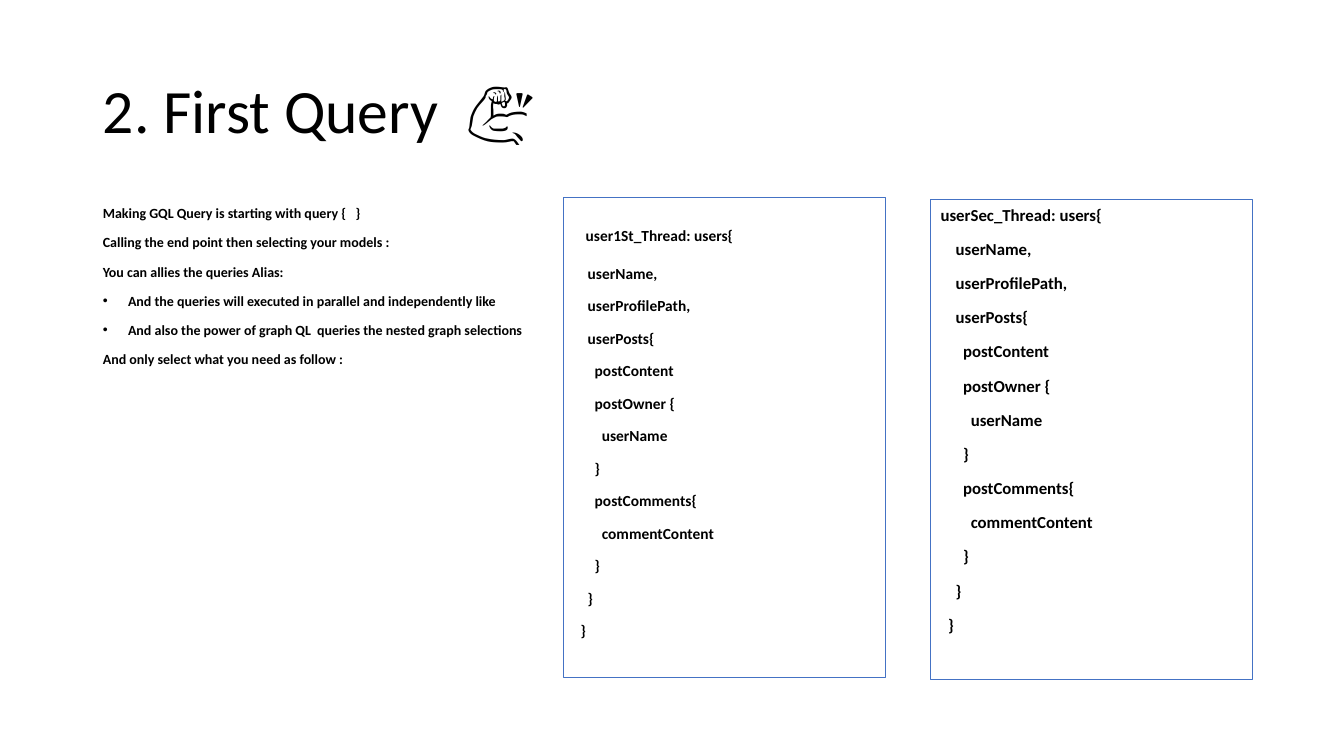
from lxml import etree
from pptx import Presentation
from pptx.dml.color import RGBColor
from pptx.enum import shapes, text
from pptx.oxml import ns
from pptx.util import Inches, Pt

COLORS = {"ink": "000000", "paper": "FFFFFF", "border": "4472C4"}
FONT = "Calibri"

NOTES = [  # wording, bulleted
    ("Making GQL Query is starting with query {   }", False),
    ("Calling the end point then selecting your models :", False),
    ("You can allies the queries Alias:", False),
    ("And the queries will executed in parallel and independently like", True),
    ("And also the power of graph QL  queries the nested graph selections", True),
    ("And only select what you need as follow :", False),
]

QUERY_LINES = [  # indent level, code
    (2, "userName,"),
    (2, "userProfilePath,"),
    (2, "userPosts{"),
    (3, "postContent"),
    (3, "postOwner {"),
    (4, "userName"),
    (3, "}"),
    (3, "postComments{"),
    (4, "commentContent"),
    (3, "}"),
    (2, "}"),
    (1, "}"),
]


def color(name):
    return RGBColor.from_string(COLORS[name])


def add_span(para, wording, size, bold=False):
    span = para.add_run()
    span.text = wording
    span.font.name = FONT
    span.font.size = Pt(size)
    span.font.bold = bold
    span.font.color.rgb = color("ink")


def next_para(frame, index):
    para = frame.paragraphs[0] if index == 0 else frame.add_paragraph()
    para.alignment = text.PP_ALIGN.LEFT
    return para


def set_indent(para, left, hanging=0):
    props = para._p.get_or_add_pPr()
    props.set("marL", str(Inches(left)))
    props.set("indent", str(-Inches(hanging)))
    return props


def set_bullet(para, bulleted):
    props = set_indent(para, 0.25 if bulleted else 0, 0.25 if bulleted else 0)
    if bulleted:
        etree.SubElement(props, ns.qn("a:buFont")).set("typeface", "Arial")
        etree.SubElement(props, ns.qn("a:buChar")).set("char", "•")
    else:
        etree.SubElement(props, ns.qn("a:buNone"))


def place(shape, left, top, width, height):
    shape.left, shape.top = Inches(left), Inches(top)
    shape.width, shape.height = Inches(width), Inches(height)


def prepare_frame(shape, anchor):
    frame = shape.text_frame
    frame.word_wrap = True
    frame.auto_size = text.MSO_AUTO_SIZE.NONE
    frame.vertical_anchor = anchor
    return frame


def fill_title(page, wording):
    title = page.shapes.title
    place(title, 0.92, 0.4, 11.5, 1.45)
    para = next_para(prepare_frame(title, text.MSO_ANCHOR.MIDDLE), 0)
    para.line_spacing = 0.9
    add_span(para, wording, 44)


def fill_notes(page, notes):
    body = page.placeholders[1]
    place(body, 0.92, 2, 11.5, 4.76)
    frame = prepare_frame(body, text.MSO_ANCHOR.TOP)
    for index, (wording, bulleted) in enumerate(notes):
        para = next_para(frame, index)
        para.line_spacing = 0.9
        para.space_before = Pt(10)
        set_bullet(para, bulleted)
        add_span(para, wording, 10, bold=True)


def add_query_box(page, left, top, heading, size, step, heading_indent=0):
    box = page.shapes.add_shape(
        shapes.MSO_SHAPE.RECTANGLE, Inches(left), Inches(top), Inches(3.19), Inches(4.76))
    box.shadow.inherit = False
    box.fill.solid()
    box.fill.fore_color.rgb = color("paper")
    box.line.color.rgb = color("border")
    box.line.width = Pt(1)
    frame = prepare_frame(box, text.MSO_ANCHOR.TOP)
    lines = [(heading_indent, heading)] + [(level * step, code) for level, code in QUERY_LINES]
    for index, (indent, code) in enumerate(lines):
        para = next_para(frame, index)
        para.space_before = Pt(10)
        set_indent(para, indent)
        add_span(para, code, size, bold=True)
    return frame.paragraphs


def main():
    deck = Presentation()
    deck.slide_width, deck.slide_height = Inches(13.33), Inches(7.5)
    page = deck.slides.add_slide(deck.slide_layouts[1])

    # Title and explanation
    fill_title(page, "2. First Query  💪")
    fill_notes(page, NOTES)

    # The two aliased queries; the first has a taller heading line
    first = add_query_box(page, 5.59, 1.96, "user1St_Thread: users{", 11, 0.07, 0.12)
    first[0].line_spacing = Pt(30)
    first[1].space_before = Pt(14)
    add_query_box(page, 9.23, 1.98, "userSec_Thread: users{", 12, 0.075)

    deck.save("out.pptx")


if __name__ == "__main__":
    main()
